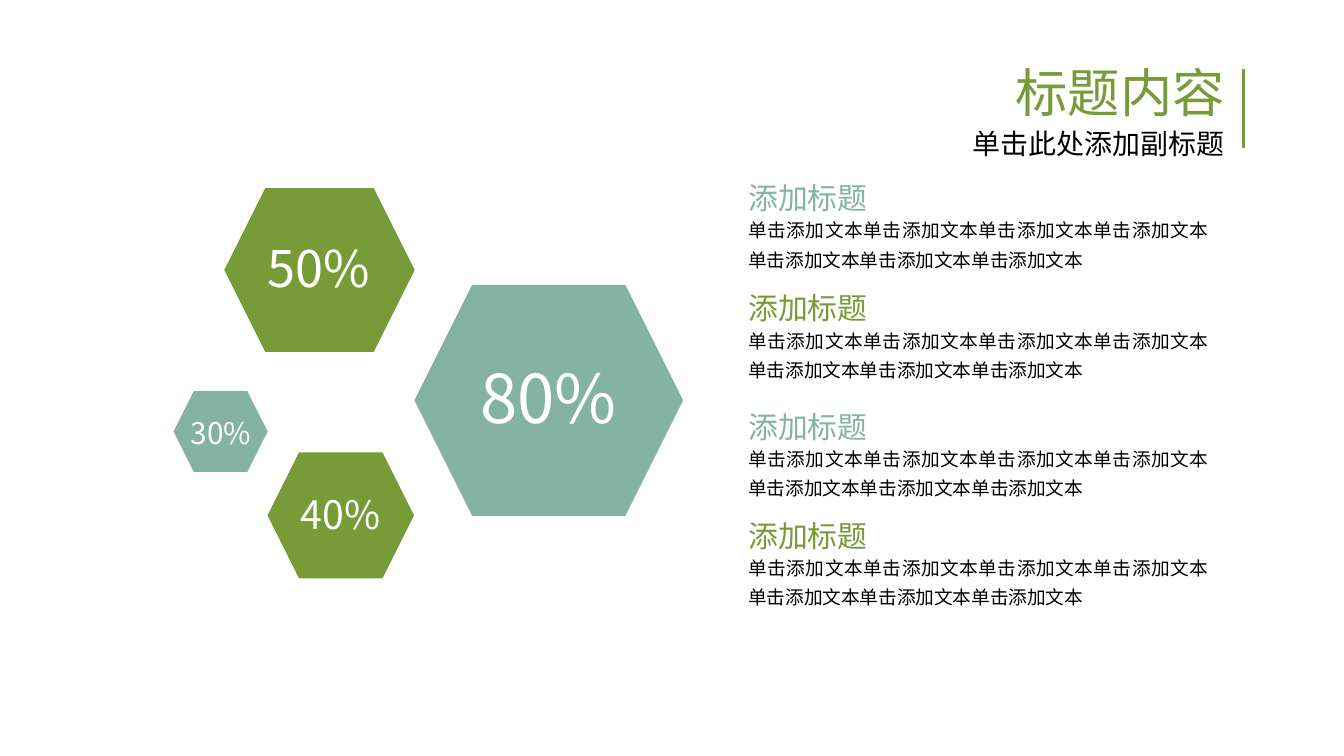
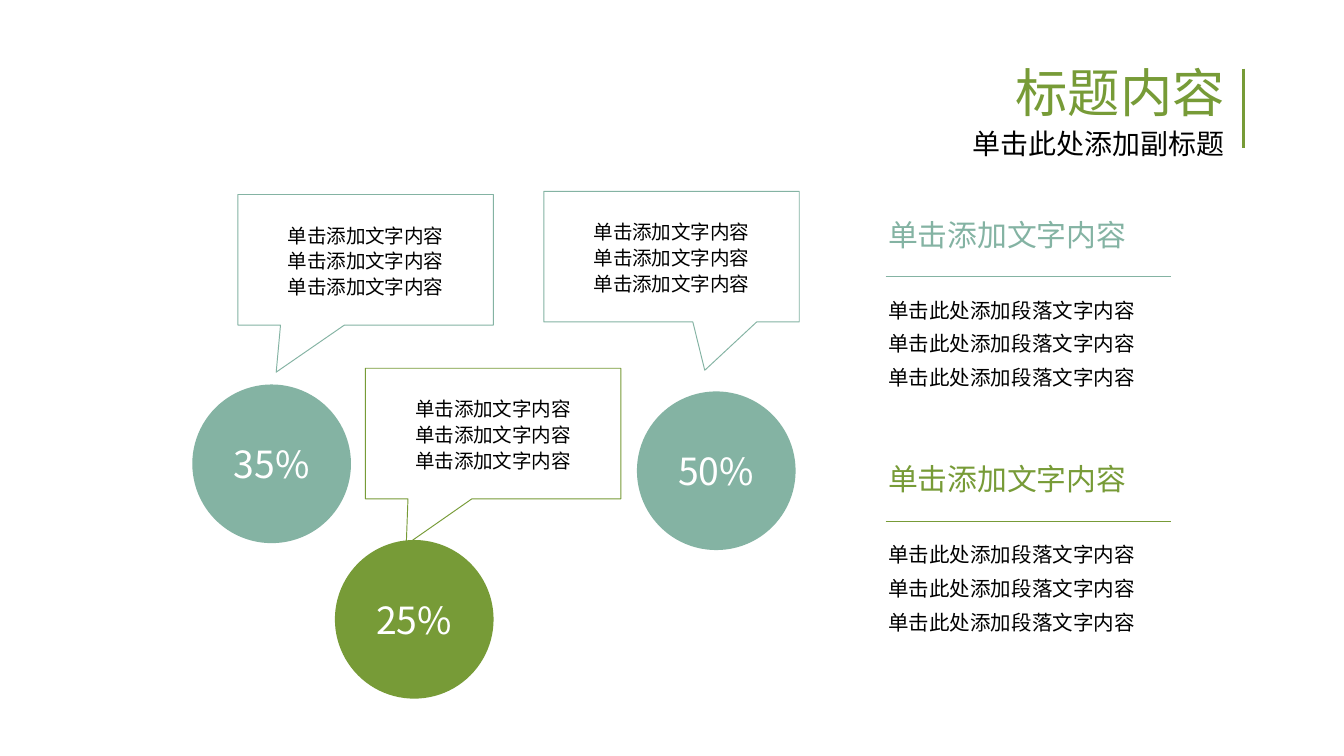
from lxml import etree
from pptx import Presentation
from pptx.dml.color import RGBColor
from pptx.enum import shapes, text
from pptx.oxml.ns import qn
from pptx.util import Pt

COLORS = {"green": "779B37", "teal": "84B3A3", "black": "000000", "white": "FFFFFF"}
FONT = "Noto Sans CJK SC"
ALIGN = text.PP_ALIGN
KIND = shapes.MSO_SHAPE
CAPTION = "单击添加文字内容"


def color(name):
    return RGBColor.from_string(COLORS[name])


def write(frame, lines, size=10, tint="black", align=ALIGN.LEFT, spacing=1.0, gap=0):
    """Fill a frame with one paragraph per line; gap separates the paragraphs."""
    frame.word_wrap = True
    for index, line in enumerate(lines):
        paragraph = frame.paragraphs[0] if index == 0 else frame.add_paragraph()
        paragraph.alignment = align
        paragraph.line_spacing = spacing
        paragraph.space_before = Pt(gap if index else 0)
        run = paragraph.add_run()
        run.text = line
        run.font.size = Pt(size)
        run.font.name = FONT
        run.font.color.rgb = color(tint)
        east_asian = etree.SubElement(run.font._element, qn("a:ea"))
        east_asian.set("typeface", FONT)


def add_text(slide, box, lines, **style):
    frame = slide.shapes.add_textbox(*map(Pt, box)).text_frame
    write(frame, lines, **style)


def add_rule(slide, start, end, tint, width):
    rule = slide.shapes.add_connector(
        shapes.MSO_CONNECTOR.STRAIGHT, *map(Pt, (*start, *end)))
    rule.line.color.rgb = color(tint)
    rule.line.width = Pt(width)
    etree.SubElement(rule._element.spPr, qn("a:effectLst"))


def add_figure(slide, kind, box, fill=None, outline=None):
    figure = slide.shapes.add_shape(kind, *map(Pt, box))
    figure.shadow.inherit = False
    if fill:
        figure.fill.solid()
        figure.fill.fore_color.rgb = color(fill)
    else:
        figure.fill.background()
    if outline:
        figure.line.color.rgb = color(outline)
        figure.line.width = Pt(0.5)
    else:
        figure.line.fill.background()
    figure.text_frame.vertical_anchor = text.MSO_ANCHOR.MIDDLE
    return figure


def add_titled_slide(deck):
    slide = deck.slides.add_slide(deck.slide_layouts[6])
    heading = dict(align=ALIGN.RIGHT, spacing=0.9)
    add_text(slide, (388, 32.4, 275, 36), ["标题内容"], size=28, tint="green", **heading)
    add_text(slide, (388, 66.2, 275, 28.8), ["单击此处添加副标题"], size=15, **heading)
    add_rule(slide, (666, 36.8), (666, 79.2), "green", 1.5)
    return slide


def add_hexagon(slide, left, top, width, tint, label, size, label_box):
    add_figure(slide, KIND.HEXAGON, (left, top, width, width * 0.86), fill=tint)
    add_text(slide, label_box, [label], size=size, tint="white",
             align=ALIGN.CENTER, spacing=0.9)


def add_topic(slide, top, tint):
    add_text(slide, (393.8, top, 137, 24.5), ["添加标题"], size=16, tint=tint,
             align=ALIGN.JUSTIFY, spacing=0.9)
    add_text(slide, (393.8, top + 15.3, 260.6, 37.4), ["单击添加文本" * 7],
             align=ALIGN.JUSTIFY, spacing=1.3)


def add_share(slide, left, top, tint, label):
    circle = add_figure(slide, KIND.OVAL, (left, top, 85, 85), fill=tint)
    write(circle.text_frame, [label], size=20, tint="white", align=ALIGN.CENTER)


def add_callout(slide, left, top, tint, tip):
    """tip is the pointer's offset from the centre, as shares of width and height."""
    callout = add_figure(slide, KIND.RECTANGULAR_CALLOUT, (left, top, 136.8, 70),
                         outline=tint)
    callout.adjustments[0], callout.adjustments[1] = tip
    write(callout.text_frame, [CAPTION] * 3, size=10.5, align=ALIGN.CENTER, spacing=1.1)


def add_summary(slide, top, tint):
    add_text(slide, (468.7, top, 175, 26.6), [CAPTION], size=16, tint=tint)
    add_rule(slide, (474.4, top + 36), (627.2, top + 36), tint, 0.75)
    add_text(slide, (468.7, top + 41, 175, 68.4), ["单击此处添加段落文字内容"] * 3,
             size=11, spacing=1.2, gap=2.2)


def build_hexagon_slide(deck):
    slide = add_titled_slide(deck)
    for hexagon in (
        (93, 209.5, 50.4, "teal", "30%", 16, (92.2, 221, 52.6, 24.5)),
        (143.3, 242.4, 78.5, "green", "40%", 21, (149, 262, 67, 30.2)),
        (222, 152.6, 144, "teal", "80%", 36, (244, 192.2, 99.4, 46.8)),
        (120.2, 100.8, 102, "green", "50%", 27, (121, 127.4, 99.4, 36.7)),
    ):
        add_hexagon(slide, *hexagon)
    for top, tint in ((95, "teal"), (154, "green"), (217.6, "teal"), (275.8, "green")):
        add_topic(slide, top, tint)


def build_callout_slide(deck):
    slide = add_titled_slide(deck)
    for tint, label, circle, callout, tip in (
        ("teal", "35%", (103, 206), (127.5, 104.2), (-0.35, 0.86)),
        ("green", "25%", (179.4, 289.3), (195.8, 197.3), (-0.34, 0.85)),
        ("teal", "50%", (341.2, 209.7), (291.4, 102.5), (0.13, 0.87)),
    ):
        add_share(slide, *circle, tint, label)
        add_callout(slide, *callout, tint, tip)
    # The middle pointer ends behind its circle.
    middle_circle, middle_callout = slide.shapes[5], slide.shapes[6]
    middle_callout._element.addnext(middle_circle._element)
    for top, tint in ((112.3, "teal"), (243.4, "green")):
        add_summary(slide, top, tint)


def main():
    deck = Presentation()
    deck.slide_width, deck.slide_height = Pt(720), Pt(405)
    build_hexagon_slide(deck)
    build_callout_slide(deck)
    deck.save("out.pptx")


if __name__ == "__main__":
    main()
